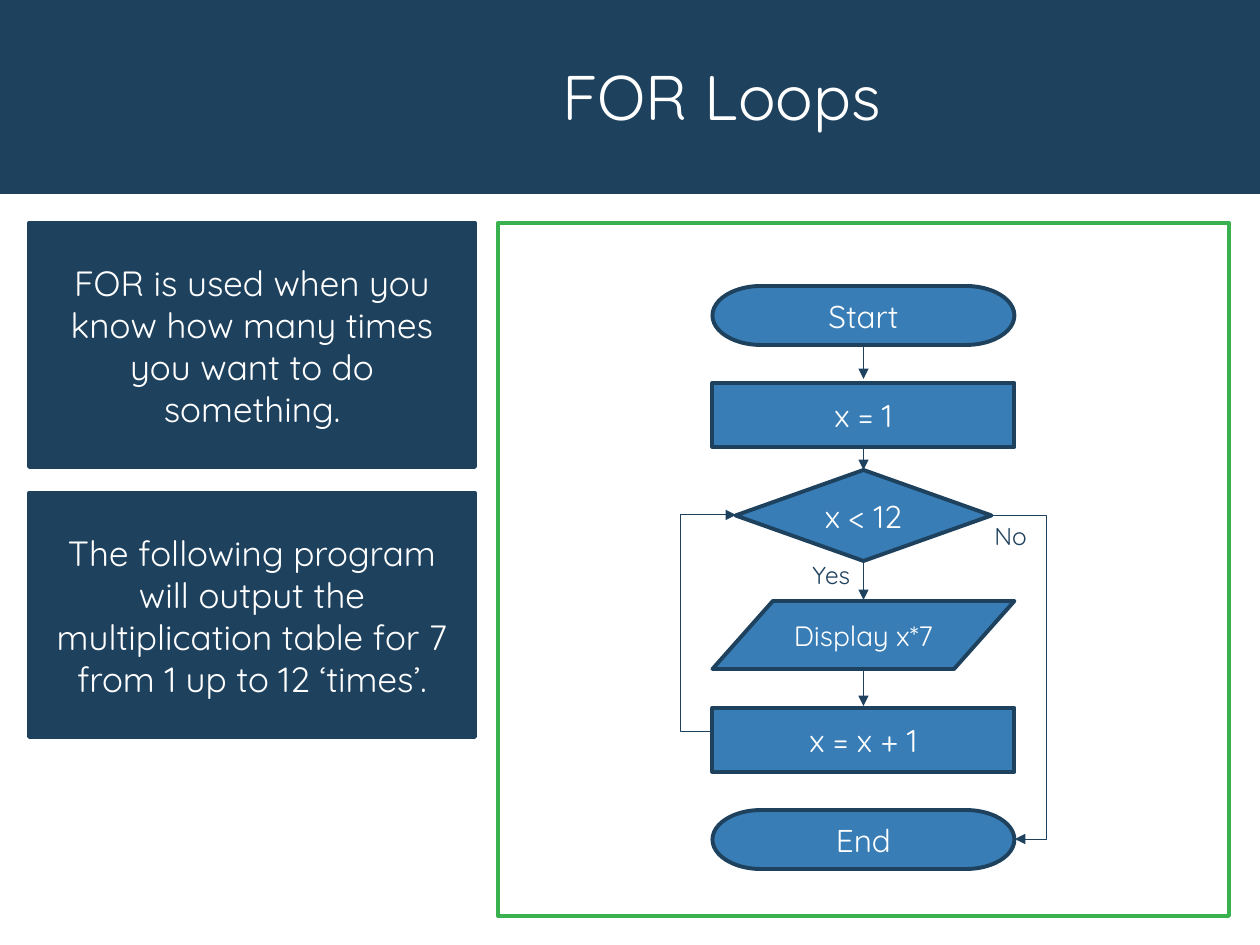
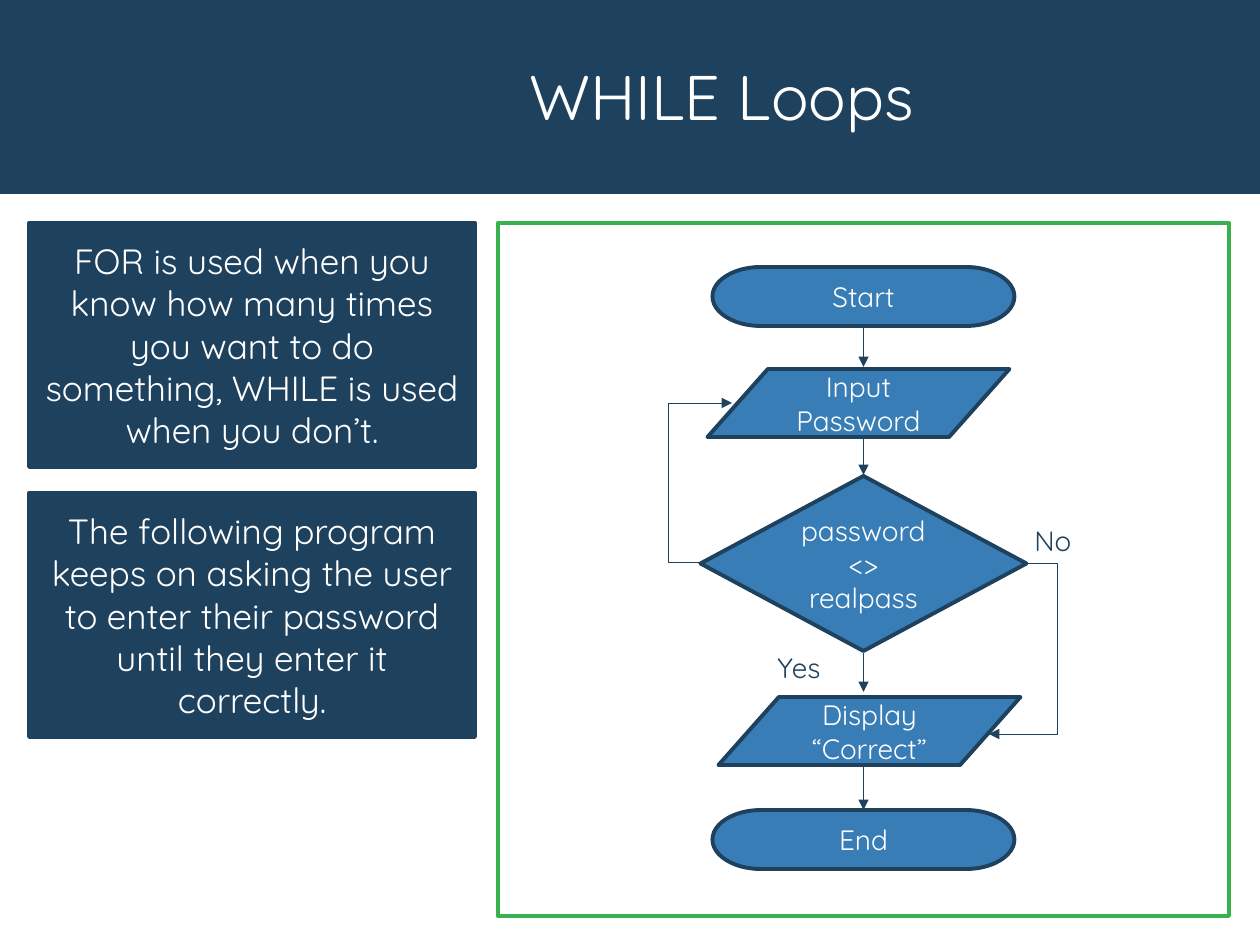
from collections import namedtuple
from dataclasses import dataclass

from lxml.etree import SubElement
from pptx import Presentation
from pptx.dml.color import RGBColor
from pptx.enum.shapes import MSO_CONNECTOR as Wire, MSO_SHAPE as Preset
from pptx.enum.text import MSO_ANCHOR as Anchor, MSO_AUTO_SIZE as AutoSize, PP_ALIGN as Align
from pptx.oxml.ns import qn
from pptx.util import Pt

SCALE = 914400 / 126  # EMU in one pixel

Box = namedtuple("Box", "left top width height")
Node = namedtuple("Node", "kind text top width height size shift", defaults=(0,))
Label = namedtuple("Label", "text left top width height size")
Bend = namedtuple("Bend", "begin end via")


@dataclass(frozen=True)
class Theme:
    """Colours, type sizes and line widths of the deck."""
    navy: str = "1E415E"
    blue: str = "387DB6"
    green: str = "39B14F"
    white: str = "FFFFFF"
    font: str = "Quicksand"
    title: int = 36
    body: int = 20
    large: int = 18
    medium: int = 16
    small: int = 14
    outline: float = 2.25
    arrow: float = 0.5


THEME = Theme()
SLIDE = Box(0, 0, 1260, 945)
BAND = Box(0, 0, 1260, 194)
TITLE = Box(183, 30, 1077, 140)
NOTES = Box(29, 223, 446, 514)
NOTE_HEIGHT = 244
PANEL = Box(498, 223, 731, 693)
NODE_WIDTH = 302


def emu(*pixels):
    """Turn pixels into a list of EMU lengths."""
    return [round(pixel * SCALE) for pixel in pixels]


def set_all(target, values):
    """Set every attribute named in a dict of format values."""
    for name, value in values.items():
        setattr(target, name, value)


def write(shape, text, size, colour=THEME.white, frame=None, paragraph_format=None):
    """Fill a shape with text, one paragraph for each line."""
    text_frame = shape.text_frame
    set_all(text_frame, {"word_wrap": True, "vertical_anchor": Anchor.MIDDLE, **(frame or {})})
    text_frame.text = text
    for paragraph in text_frame.paragraphs:
        set_all(paragraph, {"alignment": Align.CENTER, **(paragraph_format or {})})
        for run in paragraph.runs:
            set_all(run.font, {"name": THEME.font, "size": Pt(size)})
            run.font.color.rgb = RGBColor.from_string(colour)


def add_box(slide, kind, box, fill=None, line=None):
    """Add a preset shape without shadow; no colour means no fill or line."""
    shape = slide.shapes.add_shape(kind, *emu(*box))
    shape.shadow.inherit = False
    for part, colour in ((shape.fill, fill), (shape.line.fill, line)):
        if colour:
            part.solid()
            part.fore_color.rgb = RGBColor.from_string(colour)
        else:
            part.background()
    if line:
        shape.line.width = Pt(THEME.outline)
    return shape


def add_arrow(slide, begin, end, via=None):
    """Add an arrow, straight or bent by way of the column at via."""
    kind = Wire.STRAIGHT if via is None else Wire.ELBOW
    connector = slide.shapes.add_connector(kind, *emu(*begin, *end))
    connector.line.color.rgb = RGBColor.from_string(THEME.navy)
    connector.line.width = Pt(THEME.arrow)
    properties = connector.element.spPr
    SubElement(properties.find(qn("a:ln")), qn("a:tailEnd"), type="triangle")
    SubElement(properties, qn("a:effectLst"))
    if via is not None:
        ratio = (via - begin[0]) / (end[0] - begin[0])
        guides = properties.find(qn("a:prstGeom")).get_or_add_avLst()
        SubElement(guides, qn("a:gd"), name="adj1", fmla=f"val {round(ratio * 100000)}")


def add_band(slide):
    """Put the title band behind everything in the slide's layout."""
    band = add_box(slide, Preset.RECTANGLE, BAND, THEME.navy)
    slide.slide_layout.shapes.element.insert(2, band.element)


def add_title(slide, box, text):
    """Place and format the title placeholder."""
    title = slide.shapes.title
    set_all(title, dict(zip(box._fields, emu(*box))))
    write(title, text, THEME.title, frame={"auto_size": AutoSize.NONE},
          paragraph_format={"line_spacing": 0.9})


def add_notes(slide, box, texts):
    """Spread the explanation cards evenly from top to bottom of the box."""
    step = (box.height - NOTE_HEIGHT) / (len(texts) - 1)
    for index, text in enumerate(texts):
        place = Box(box.left, box.top + index * step, box.width, NOTE_HEIGHT)
        card = add_box(slide, Preset.RECTANGLE, place, THEME.navy, THEME.navy)
        write(card, text, THEME.body)


def add_nodes(slide, box, nodes):
    """Add flowchart steps centred on the middle of the box."""
    for node in nodes:
        left = box.left + (box.width - node.width) / 2 + node.shift
        place = Box(left, box.top + node.top, node.width, node.height)
        shape = add_box(slide, node.kind, place, THEME.blue, THEME.navy)
        if node.kind == Preset.ROUNDED_RECTANGLE:
            shape.adjustments[0] = 0
        write(shape, node.text, node.size)


def add_labels(slide, box, labels):
    """Add the branch labels."""
    for label in labels:
        place = emu(box.left + label.left, box.top + label.top, label.width, label.height)
        write(slide.shapes.add_textbox(*place), label.text, label.size, THEME.navy,
              {"vertical_anchor": Anchor.TOP, "auto_size": AutoSize.SHAPE_TO_FIT_TEXT},
              {"alignment": Align.LEFT})


def add_flowchart(slide, box, chart):
    """Draw the framed flowchart; its steps lie over the arrows."""
    add_box(slide, Preset.RECTANGLE, box, line=THEME.green)
    add_nodes(slide, box, chart["frame_nodes"])
    add_labels(slide, box, chart["labels"])
    centre = box.left + box.width / 2
    for begin, end in chart["drops"]:
        add_arrow(slide, (centre, box.top + begin), (centre, box.top + end))
    for bend in chart["bends"]:
        begin, end = ((box.left + x, box.top + y) for x, y in (bend.begin, bend.end))
        add_arrow(slide, begin, end, box.left + bend.via)
    add_nodes(slide, box, chart["step_nodes"])


def terminator(text, top, size):
    """Describe a start or end node."""
    return Node(Preset.FLOWCHART_TERMINATOR, text, top, NODE_WIDTH, 59, size)


def process(text, top):
    """Describe a process node."""
    return Node(Preset.ROUNDED_RECTANGLE, text, top, NODE_WIDTH, 64, THEME.large)


def data(text, top, shift=0):
    """Describe an input or output node."""
    return Node(Preset.FLOWCHART_DATA, text, top, NODE_WIDTH, 68, THEME.medium, shift)


FOR_CHART = {
    "frame_nodes": [
        terminator("End", 587, THEME.large),
        Node(Preset.FLOWCHART_DECISION, "x < 12", 247, 256, 91, THEME.large),
        terminator("Start", 63, THEME.large),
    ],
    "labels": [
        Label("No", 484, 292, 66, 43, THEME.small),
        Label("Yes", 302, 331, 66, 43, THEME.small),
    ],
    "drops": [(122, 156), (208, 247), (338, 377), (441, 483)],
    "bends": [
        Bend((494, 292), (517, 616), 548),
        Bend((215, 509), (238, 292), 183),
    ],
    "step_nodes": [process("x = 1", 160), process("x = x + 1", 485), data("Display x*7", 378)],
}

WHILE_CHART = {
    "frame_nodes": [
        terminator("End", 587, THEME.medium),
        Node(Preset.FLOWCHART_DECISION, "password\n<>\nrealpass", 253, 326, 175, THEME.medium),
        terminator("Start", 44, THEME.medium),
    ],
    "labels": [
        Label("No", 524, 294, 66, 47, THEME.medium),
        Label("Yes", 267, 421, 93, 47, THEME.medium),
    ],
    "drops": [(103, 144), (208, 252), (430, 469), (538, 587)],
    "bends": [
        Bend((528, 340), (491, 511), 560),
        Bend((201, 340), (234, 180), 170),
    ],
    "step_nodes": [data("Input Password", 146, -5), data("Display “Correct”", 474, 6)],
}

LESSONS = [
    ("FOR Loops",
     ["FOR is used when you know how many times you want to do something.",
      "The following program will output the multiplication table for 7 "
      "from 1 up to 12 ‘times’."],
     FOR_CHART),
    ("WHILE Loops",
     ["FOR is used when you know how many times you want to do something, "
      "WHILE is used when you don’t.",
      "The following program keeps on asking the user to enter their password "
      "until they enter it correctly."],
     WHILE_CHART),
]


def build():
    """Build the deck and save it."""
    presentation = Presentation()
    presentation.slide_width, presentation.slide_height = emu(SLIDE.width, SLIDE.height)
    layout = presentation.slide_layouts[5]
    for index, (title, notes, chart) in enumerate(LESSONS):
        slide = presentation.slides.add_slide(layout)
        if index == 0:
            add_band(slide)
        add_title(slide, TITLE, title)
        add_notes(slide, NOTES, notes)
        add_flowchart(slide, PANEL, chart)
    presentation.save("out.pptx")


build()
